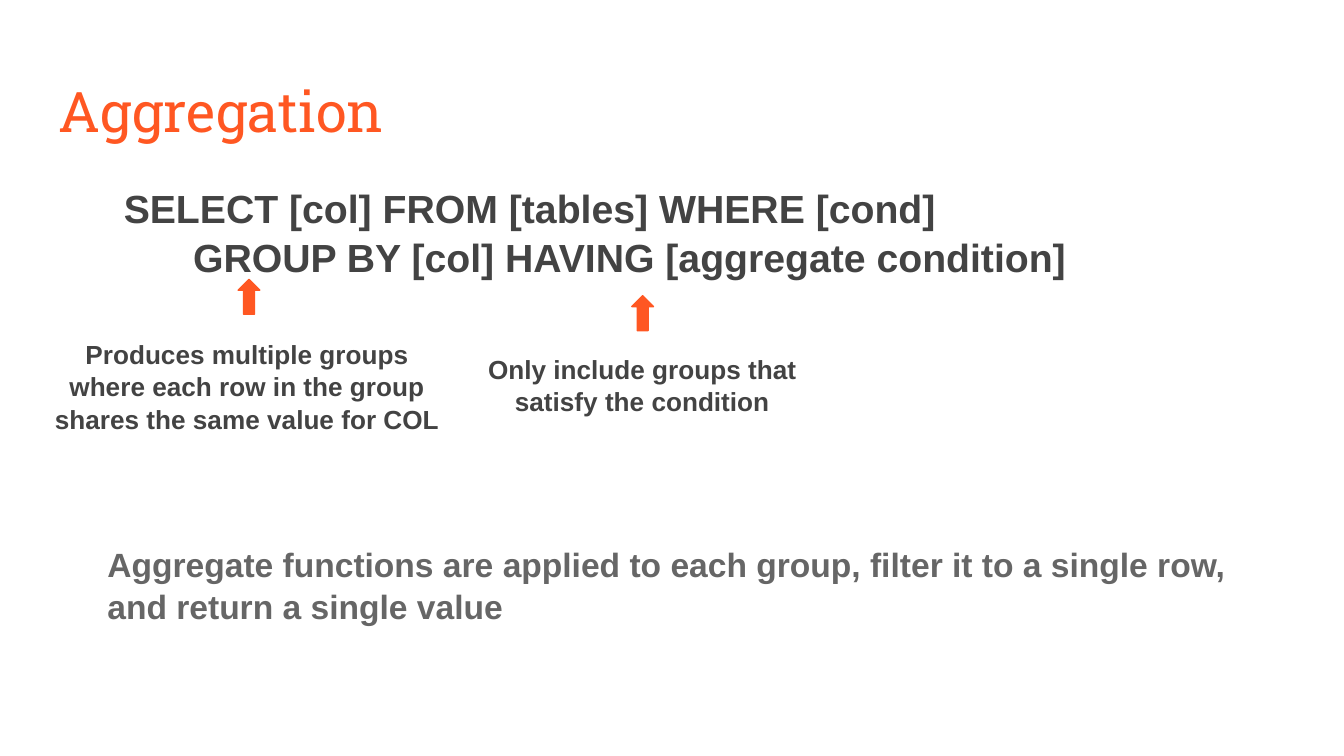
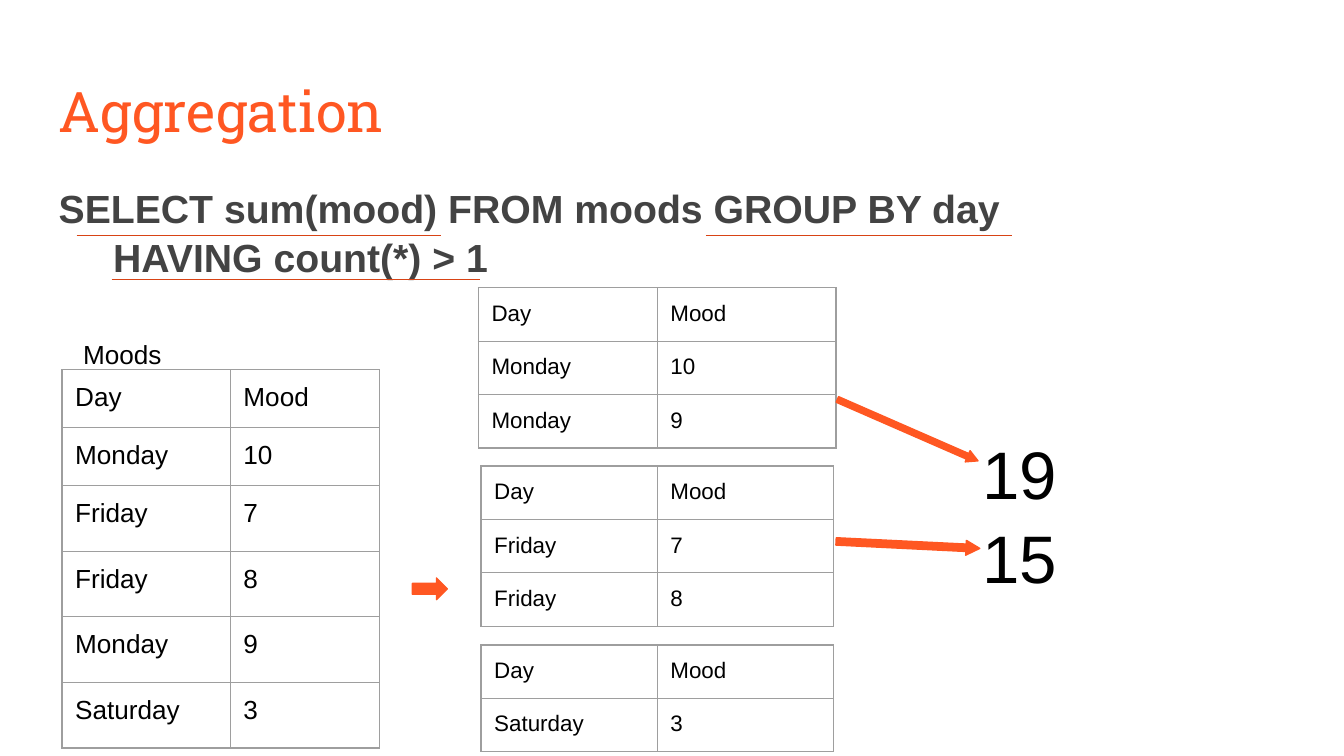
from dataclasses import dataclass
from typing import NamedTuple

from lxml.etree import SubElement
from pptx import Presentation
from pptx.dml.color import RGBColor
from pptx.enum.shapes import MSO_CONNECTOR, MSO_SHAPE
from pptx.enum.text import MSO_ANCHOR, PP_ALIGN
from pptx.oxml import parse_xml
from pptx.oxml.ns import nsdecls, qn
from pptx.slide import Slide
from pptx.table import _Cell
from pptx.text.text import TextFrame, _Paragraph
from pptx.util import Cm, Pt


@dataclass(frozen=True)
class Theme:
    accent: str = "FF5722"
    underline: str = "D84315"
    dark: str = "434343"
    muted: str = "666666"
    black: str = "000000"
    white: str = "FFFFFF"
    grid: str = "9E9E9E"
    title_font: str = "Roboto Slab"
    body_font: str = "Arial"
    title_size: float = 30
    query_size: float = 21
    note_size: float = 18
    label_size: float = 14
    group_size: float = 12
    sum_size: float = 36
    hairline: float = 0.75
    inset: float = 0.25
    leading: float = 1.04


THEME = Theme()


class Frame(NamedTuple):
    left: float
    top: float
    width: float
    height: float

    def lengths(self) -> list[Cm]:
        return [Cm(value) for value in self]


class Style(NamedTuple):
    size: float
    color: str
    bold: bool = False
    font: str = THEME.body_font
    leading: float = THEME.leading
    align: PP_ALIGN = PP_ALIGN.LEFT


class Line(NamedTuple):
    text: str
    indent: float = 0


class Arrow(NamedTuple):
    frame: Frame
    rotation: float
    head: float = 0.5


class Underline(NamedTuple):
    start: float
    end: float
    top: float


class Grid(NamedTuple):
    left: float
    top: float
    columns: list[float]
    heights: list[float]
    records: list[tuple[str, str]]
    size: float


TITLE = Style(THEME.title_size, THEME.accent, font=THEME.title_font, leading=1)
QUERY = Style(THEME.query_size, THEME.dark, bold=True)
CAPTION = Style(THEME.label_size, THEME.dark, bold=True, align=PP_ALIGN.CENTER)
NOTE = Style(THEME.note_size, THEME.muted, bold=True)
LABEL = Style(THEME.label_size, THEME.black)
SUM = Style(THEME.sum_size, THEME.black)


def write_para(para: _Paragraph, line: Line, style: Style) -> None:
    para.alignment = style.align
    para.line_spacing = style.leading
    if line.indent:
        para._p.get_or_add_pPr().set("marL", str(Cm(line.indent)))
    span = para.add_run()
    span.text = line.text
    span.font.name = style.font
    span.font.size = Pt(style.size)
    span.font.bold = style.bold
    span.font.color.rgb = RGBColor.from_string(style.color)


def set_insets(target: TextFrame | _Cell) -> None:
    target.margin_left = target.margin_right = Cm(THEME.inset)
    target.margin_top = target.margin_bottom = Cm(THEME.inset)


def add_text(page: Slide, frame: Frame, style: Style, *lines: Line) -> None:
    body = page.shapes.add_textbox(*frame.lengths()).text_frame
    body.word_wrap = True
    body.vertical_anchor = MSO_ANCHOR.TOP
    set_insets(body)
    for index, line in enumerate(lines):
        para = body.add_paragraph() if index else body.paragraphs[0]
        write_para(para, line, style)


def add_arrow(page: Slide, arrow: Arrow) -> None:
    shape = page.shapes.add_shape(MSO_SHAPE.DOWN_ARROW, *arrow.frame.lengths())
    shape.shadow.inherit = False
    shape.adjustments[0] = 0.5
    shape.adjustments[1] = arrow.head
    shape.rotation = arrow.rotation
    shape.fill.solid()
    shape.fill.fore_color.rgb = RGBColor.from_string(THEME.accent)
    shape.line.color.rgb = RGBColor.from_string(THEME.accent)
    shape.line.width = Pt(THEME.hairline)


def add_underline(page: Slide, underline: Underline) -> None:
    rule = page.shapes.add_connector(
        MSO_CONNECTOR.STRAIGHT,
        Cm(underline.start), Cm(underline.top), Cm(underline.end), Cm(underline.top),
    )
    rule.line.color.rgb = RGBColor.from_string(THEME.underline)
    rule.line.width = Pt(THEME.hairline)
    SubElement(rule._element.spPr, qn("a:effectLst"))


def add_borders(cell: _Cell) -> None:
    properties = cell._tc.get_or_add_tcPr()
    for index, side in enumerate(("lnL", "lnR", "lnT", "lnB")):
        border = parse_xml(
            f'<a:{side} {nsdecls("a")} w="{Pt(THEME.hairline)}"><a:solidFill>'
            f'<a:srgbClr val="{THEME.grid}"/></a:solidFill></a:{side}>'
        )
        properties.insert(index, border)


def add_grid(page: Slide, grid: Grid) -> None:
    records = [("Day", "Mood"), *grid.records]
    frame = Frame(grid.left, grid.top, sum(grid.columns), sum(grid.heights))
    table = page.shapes.add_table(
        len(records), len(grid.columns), *frame.lengths()
    ).table
    table.first_row = False
    table.horz_banding = False
    for column, width in zip(table.columns, grid.columns):
        column.width = Cm(width)
    style = Style(grid.size, THEME.black, leading=1)
    for row, height, record in zip(table.rows, grid.heights, records):
        row.height = Cm(height)
        for cell, text in zip(row.cells, record):
            cell.fill.background()
            set_insets(cell)
            add_borders(cell)
            write_para(cell.text_frame.paragraphs[0], Line(text), style)


def group_grid(left: float, top: float, column: float, height: float,
               records: list[tuple[str, str]]) -> Grid:
    heights = [height] * (len(records) + 1)
    return Grid(left, top, [column] * 2, heights, records, THEME.group_size)


def block_arrow(left: float, top: float, rotation: float) -> Arrow:
    return Arrow(Frame(left, top, 0.41, 0.66), rotation)


def add_page(deck: Presentation) -> Slide:
    page = deck.slides.add_slide(deck.slide_layouts[6])
    page.background.fill.solid()
    page.background.fill.fore_color.rgb = RGBColor.from_string(THEME.white)
    add_text(page, Frame(0.86, 1.2, 23.67, 1.6), TITLE, Line("Aggregation"))
    return page


def build_syntax_page(deck: Presentation) -> None:
    page = add_page(deck)
    add_text(
        page, Frame(0.86, 3.2, 24.31, 2.39), QUERY,
        Line("SELECT [col] FROM [tables] WHERE [cond]", 1.23),
        Line("GROUP BY [col] HAVING [aggregate condition]", 2.54),
    )
    add_arrow(page, block_arrow(4.5, 5.28, 180))
    add_text(
        page, Frame(0.76, 6.12, 7.82, 1.47), CAPTION,
        Line("Produces multiple groups where each row in the group "
             "shares the same value for COL"),
    )
    add_arrow(page, block_arrow(11.94, 5.59, 180))
    add_text(
        page, Frame(8.94, 6.4, 6.4, 1.47), CAPTION,
        Line("Only include groups that satisfy the condition"),
    )
    add_text(
        page, Frame(1.78, 10.01, 22.76, 3.91), NOTE,
        Line("Aggregate functions are applied to each group, filter it "
             "to a single row, and return a single value"),
    )


def build_example_page(deck: Presentation) -> None:
    page = add_page(deck)
    add_text(
        page, Frame(0.86, 3.2, 23.67, 3.12), QUERY,
        Line("SELECT sum(mood) FROM moods GROUP BY day"),
        Line("HAVING count(*) > 1", 1.03),
    )
    moods = [("Monday", "10"), ("Friday", "7"), ("Friday", "8"),
             ("Monday", "9"), ("Saturday", "3")]
    grids = [
        Grid(1.17, 6.99, [3.18, 2.82], [1.02] * 2 + [1.24] * 4, moods,
             THEME.label_size),
        group_grid(9.04, 5.44, 3.38, 0.86, [("Monday", "10"), ("Monday", "9")]),
        group_grid(9.09, 8.81, 3.33, 0.81, [("Friday", "7"), ("Friday", "8")]),
        group_grid(9.09, 12.19, 3.33, 0.81, [("Saturday", "3")]),
    ]
    for grid in grids:
        add_grid(page, grid)
    for underline in (
        Underline(13.34, 19.13, 4.45),
        Underline(2.11, 9.07, 5.28),
        Underline(1.45, 8.33, 4.45),
    ):
        add_underline(page, underline)
    add_text(page, Frame(18.31, 7.87, 5.79, 5.84), SUM, Line("19"), Line("15"))
    for arrow in (
        block_arrow(7.92, 10.8, 270),
        Arrow(Frame(17.04, 6.68, 0.23, 2.9), 293.6, 0.93),
        Arrow(Frame(17.02, 8.94, 0.28, 2.72), 272.8, 0.93),
    ):
        add_arrow(page, arrow)
    add_text(page, Frame(1.32, 6.12, 2.11, 0.79), LABEL, Line("Moods"))


def main() -> None:
    deck = Presentation()
    deck.slide_width = Cm(25.4)
    deck.slide_height = Cm(14.29)
    build_syntax_page(deck)
    build_example_page(deck)
    deck.save("out.pptx")


if __name__ == "__main__":
    main()
